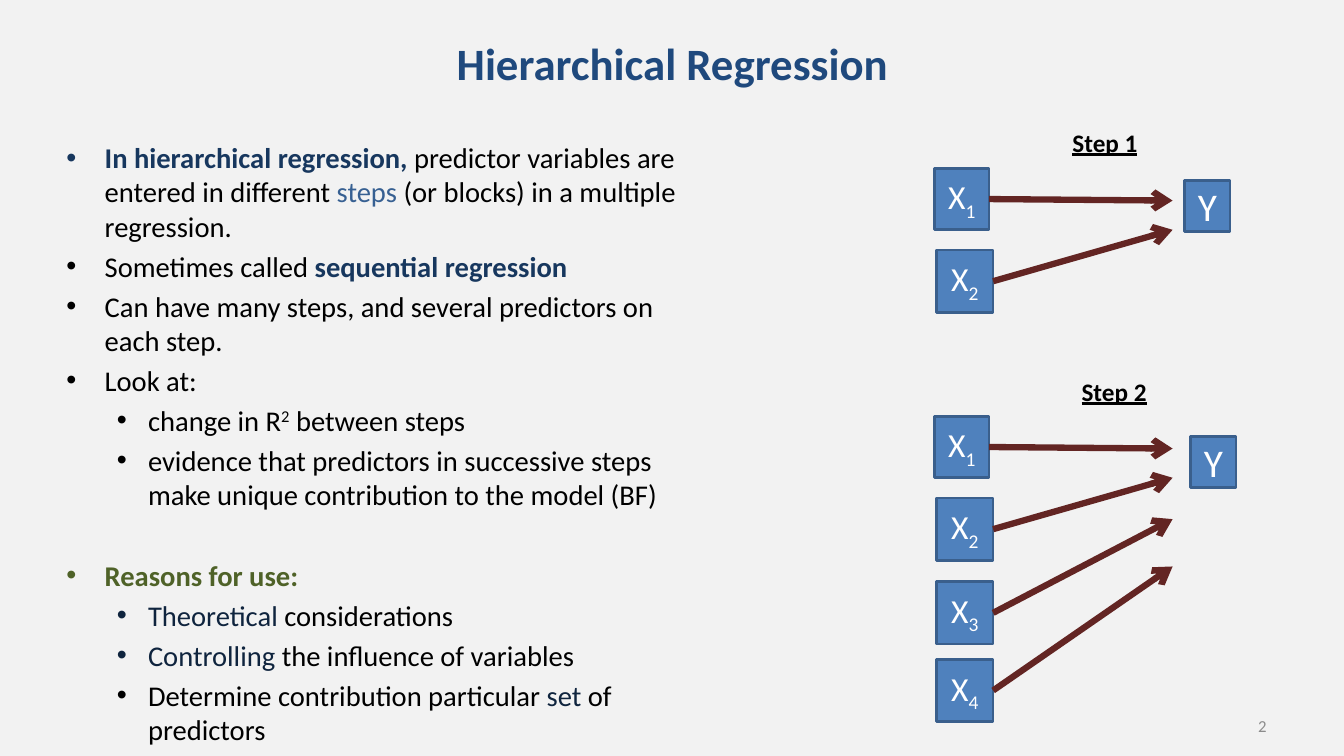
from pptx import Presentation
from pptx import util as u
from pptx.dml.color import RGBColor
from pptx.enum import shapes, text
from pptx.oxml import ns
from lxml import etree

COLOURS = {
    "background": "F2F2F2", "title": "1F497D", "navy": "17375E",
    "steel": "376092", "ink": "0F243E", "green": "4F6228",
    "black": "000000", "white": "FFFFFF", "grey": "8C8C8C",
    "box": "4F81BD", "edge": "3A5F8C", "arrow": "632523",
}
COLUMNS, ROWS = 13.33, 7.5
FONT = "Calibri"
BODY_SIZE = 20.4
LINE_HEIGHT = 1.22
SUPERSCRIPT, SUBSCRIPT = 30000, -25000
INDENTS = [(0.38, -0.38), (0.81, -0.31)]

TITLE = "Hierarchical Regression"
PAGE = "2"
BULLET_GROUPS = [
    [
        (0, [("In hierarchical regression, ", "navy", {"bold": True}),
             ("predictor variables are entered in different ",),
             ("steps", "steel"),
             (" (or blocks) in a multiple regression.",)]),
        (0, [("Sometimes called ",),
             ("sequential regression", "navy", {"bold": True})]),
        (0, [("Can have many steps, and several predictors on each step.",)]),
        (0, [("Look at:",)]),
        (1, [("change in R",), ("2", "black", {"baseline": SUPERSCRIPT}),
             (" between steps",)]),
        (1, [("evidence that predictors in successive steps make unique "
              "contribution to the model (BF)",)]),
    ],
    [
        (0, [("Reasons for use:", "green", {"bold": True})]),
        (1, [("Theoretical", "ink"), (" considerations",)]),
        (1, [("Controlling", "ink"), (" the influence of variables",)]),
        (1, [("Determine contribution particular ",), ("set", "ink"),
             (" of predictors",)]),
    ],
]
STEPS = [
    {"label": "Step 1", "label_at": (9.18, 1.21), "top": 1.67,
     "predictors": 2, "outcome_at": (11.75, 1.79)},
    {"label": "Step 2", "label_at": (9.27, 3.68), "top": 4.13,
     "predictors": 4, "outcome_at": (11.81, 4.33)},
]
PREDICTORS = [
    {"left": 9.27, "drop": 0, "size": (0.54, 0.61), "target": 0.32},
    {"left": 9.29, "drop": 0.81, "size": (0.56, 0.62), "target": 0.61},
    {"left": 9.29, "drop": 1.64, "size": (0.56, 0.62), "target": 1.02},
    {"left": 9.29, "drop": 2.41, "size": (0.56, 0.62), "target": 1.49},
]
OUTCOME_SIZE = (0.45, 0.51)
ARROW_END = 11.63

presentation = Presentation()
presentation.slide_width = u.Inches(COLUMNS)
presentation.slide_height = u.Inches(ROWS)
slide = presentation.slides.add_slide(presentation.slide_layouts[6])


def colour(name):
    return RGBColor.from_string(COLOURS[name])


def grid(*lengths):
    return [u.Inches(length) for length in lengths]


def write(paragraph, runs, size, default="black"):
    for words, shade, style in ((*run, default, {})[:3] if len(run) == 1
                                else (*run, {})[:3] for run in runs):
        run = paragraph.add_run()
        run.text = words
        run.font.name = FONT
        run.font.size = u.Pt(size)
        run.font.color.rgb = colour(shade)
        run.font.bold = style.get("bold", False)
        run.font.underline = style.get("underline", False)
        if "baseline" in style:
            run.font._element.set("baseline", str(style["baseline"]))


def add_text(place, runs, size, align, anchor=text.MSO_ANCHOR.TOP):
    frame = slide.shapes.add_textbox(*grid(*place)).text_frame
    frame.word_wrap = True
    frame.vertical_anchor = anchor
    frame.paragraphs[0].alignment = align
    write(frame.paragraphs[0], runs, size)


def add_bullets(place):
    frame = slide.shapes.add_textbox(*grid(*place)).text_frame
    frame.word_wrap = True
    gap = BODY_SIZE * 0.2
    paragraph = frame.paragraphs[0]
    for group_index, group in enumerate(BULLET_GROUPS):
        for index, (level, runs) in enumerate(group):
            if group_index or index:
                paragraph = frame.add_paragraph()
            paragraph.level = level
            starts_group = group_index and not index
            paragraph.space_before = u.Pt(
                2 * gap + BODY_SIZE * LINE_HEIGHT if starts_group else gap)
            write(paragraph, runs, BODY_SIZE)
            properties = paragraph._p.get_or_add_pPr()
            margin, indent = grid(*INDENTS[level])
            properties.set("marL", str(margin))
            properties.set("indent", str(indent))
            etree.SubElement(properties, ns.qn("a:buFont")).set("typeface", "Arial")
            etree.SubElement(properties, ns.qn("a:buChar")).set("char", "•")


def add_box(place, runs, size):
    box = slide.shapes.add_shape(shapes.MSO_SHAPE.RECTANGLE, *grid(*place))
    box.shadow.inherit = False
    box.fill.solid()
    box.fill.fore_color.rgb = colour("box")
    box.line.color.rgb = colour("edge")
    box.line.width = u.Pt(2)
    frame = box.text_frame
    frame.vertical_anchor = text.MSO_ANCHOR.MIDDLE
    frame.paragraphs[0].alignment = text.PP_ALIGN.CENTER
    write(frame.paragraphs[0], runs, size, "white")


def add_arrow(*ends):
    arrow = slide.shapes.add_connector(shapes.MSO_CONNECTOR.STRAIGHT, *grid(*ends))
    arrow.line.color.rgb = colour("arrow")
    arrow.line.width = u.Pt(4.5)
    etree.SubElement(arrow.line._get_or_add_ln(), ns.qn("a:tailEnd")).set("type", "arrow")
    etree.SubElement(arrow._element.spPr, ns.qn("a:effectLst"))


def add_step(step):
    for number, predictor in enumerate(PREDICTORS[:step["predictors"]], 1):
        left, top = predictor["left"], step["top"] + predictor["drop"]
        width, height = predictor["size"]
        add_box((left, top, width, height),
                [("X",), (str(number), "white", {"baseline": SUBSCRIPT})], 24)
        add_arrow(left + width, top + height / 2,
                  ARROW_END, step["top"] + predictor["target"])
    add_box((*step["outcome_at"], *OUTCOME_SIZE), [("Y",)], 28)
    add_text((*step["label_at"], 3.56, 0.4),
             [(step["label"], "black", {"bold": True, "underline": True})],
             18, text.PP_ALIGN.CENTER)


slide.background.fill.solid()
slide.background.fill.fore_color.rgb = colour("background")
add_text((0.67, 0.3, 12, 0.64), [(TITLE, "title", {"bold": True})], 32,
         text.PP_ALIGN.CENTER, text.MSO_ANCHOR.MIDDLE)
add_bullets((0.56, 1.34, 6.31, 5.82))
add_text((12.02, 6.95, 0.64, 0.5), [(PAGE, "grey")], 12,
         text.PP_ALIGN.RIGHT, text.MSO_ANCHOR.MIDDLE)
for step in STEPS:
    add_step(step)

presentation.save("out.pptx")
